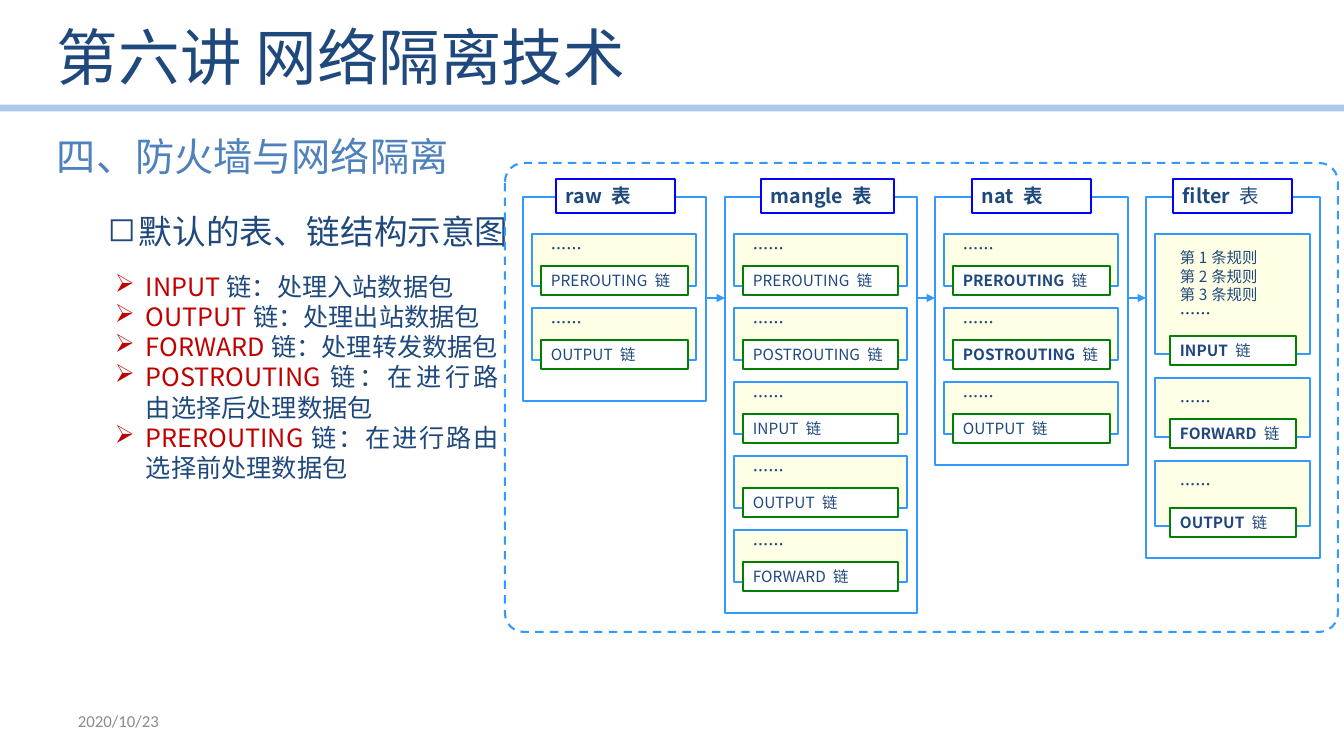
"""Build the slide on the default firewall tables and chains."""
from dataclasses import dataclass
from itertools import pairwise

from lxml.etree import SubElement
from pptx import Presentation
from pptx.dml.color import RGBColor
from pptx.enum.dml import MSO_LINE
from pptx.enum.lang import MSO_LANGUAGE_ID as Language
from pptx.enum.shapes import MSO_CONNECTOR as Connector, MSO_SHAPE as Preset
from pptx.enum.text import MSO_ANCHOR as Anchor, PP_ALIGN as Align
from pptx.oxml.ns import qn
from pptx.util import Emu, Pt

SCALE = 12192000 / 1344


@dataclass(frozen=True)
class Theme:
    font: str = "Noto Sans CJK SC"
    date_font: str = "Calibri"
    navy: str = "1F497D"
    blue: str = "4F81BD"
    red: str = "C00000"
    grey: str = "8C8C8C"
    rule: str = "8EB4E3"
    edge: str = "3399FF"
    tab: str = "0000FF"
    chain: str = "008000"
    slot: str = "FFFFCC"
    white: str = "FFFFFF"
    title_size: int = 44
    section_size: int = 28
    topic_size: int = 24
    list_size: int = 18
    tab_size: int = 14
    chain_size: int = 11
    date_size: int = 12
    pitch: float = 1.2


@dataclass(frozen=True)
class Area:
    x: int
    y: int
    w: int
    h: int

    def emu(self) -> list[Emu]:
        return [px(value) for value in (self.x, self.y, self.w, self.h)]


@dataclass(frozen=True)
class Span:
    text: str
    bold: bool = False
    color: str = Theme.navy
    breaks: bool = False


@dataclass(frozen=True)
class Chain:
    name: str
    bold: bool
    top: int
    height: int
    width: int
    rules: int = 0


@dataclass(frozen=True)
class Table:
    name: str
    area: Area
    tab_x: int
    tab_w: int
    chains: tuple[Chain, ...]
    bold_suffix: bool = True
    chain_indent: int = 18
    dots_drop: int = 0
    overlap: int = 20


THEME = Theme()
TOP = 197


def stack(width: int, *names: str, bold: tuple[str, ...] = ()) -> tuple[Chain, ...]:
    return tuple(Chain(name, name in bold, 234 + 74 * row, 52, width)
                 for row, name in enumerate(names))


TABLES = (
    Table("raw", Area(523, TOP, 183, 204), 556, 119, stack(147, "PREROUTING", "OUTPUT")),
    Table("mangle", Area(725, TOP, 192, 416), 761, 133,
          stack(155, "PREROUTING", "POSTROUTING", "INPUT", "OUTPUT", "FORWARD")),
    Table("nat", Area(935, TOP, 193, 268), 972, 119,
          stack(157, "PREROUTING", "POSTROUTING", "OUTPUT",
                bold=("PREROUTING", "POSTROUTING"))),
    Table("filter", Area(1146, TOP, 174, 361), 1173, 119,
          (Chain("INPUT", True, 234, 120, 126, 3),
           Chain("FORWARD", True, 378, 59, 126),
           Chain("OUTPUT", True, 461, 65, 126)), False, 24, 9, 18),
)
DUTIES = (
    ("INPUT", "处理入站数据包"),
    ("OUTPUT", "处理出站数据包"),
    ("FORWARD", "处理转发数据包"),
    ("POSTROUTING", "在进行路由选择后处理数据包"),
    ("PREROUTING", "在进行路由选择前处理数据包"),
)


def px(value: int) -> Emu:
    return Emu(round(value * SCALE))


def set_alpha(element, percent: int) -> None:
    for color in element.iter(qn("a:srgbClr")):
        SubElement(color, qn("a:alpha"), val=str(percent * 1000))


def set_bullet(para, symbol: str, margin: int) -> None:
    properties = para._p.get_or_add_pPr()
    properties.set("marL", str(px(margin)))
    properties.set("indent", str(px(-31)))
    SubElement(properties, qn("a:buChar"), char=symbol)
    para.alignment = Align.JUSTIFY


def write(para, spans: tuple[Span, ...], size: int, name: str = THEME.font) -> None:
    for span in spans:
        run = para.add_run()
        run.text = span.text
        run.font.size = Pt(size)
        run.font.bold = span.bold
        run.font.color.rgb = RGBColor.from_string(span.color)
        run.font.name = name
        run.font.language_id = Language.SIMPLIFIED_CHINESE
        SubElement(run.font._element, qn("a:ea"), typeface=name)
        if span.breaks:
            para.add_line_break()


def add_text(page, area: Area, spans: tuple[Span, ...], size: int,
             anchor: Anchor = Anchor.MIDDLE, name: str = THEME.font):
    frame = page.shapes.add_textbox(*area.emu()).text_frame
    frame.word_wrap = True
    frame.vertical_anchor = anchor
    write(frame.paragraphs[0], spans, size, name)
    return frame


def add_box(page, area: Area, fill: str | None, edge: str,
            preset: Preset = Preset.RECTANGLE, alpha: int = 100):
    box = page.shapes.add_shape(preset, *area.emu())
    box.shadow.inherit = False
    if fill:
        box.fill.solid()
        box.fill.fore_color.rgb = RGBColor.from_string(fill)
    else:
        box.fill.background()
    if alpha < 100:
        set_alpha(box.element.spPr, alpha)
    box.line.color.rgb = RGBColor.from_string(edge)
    box.line.width = Pt(1.5)
    return box


def add_label(page, area: Area, edge: str, spans: tuple[Span, ...], size: int) -> None:
    frame = add_box(page, area, THEME.white, edge).text_frame
    frame.word_wrap = True
    frame.vertical_anchor = Anchor.MIDDLE
    frame.margin_top = frame.margin_bottom = frame.margin_right = 0
    frame.paragraphs[0].alignment = Align.LEFT
    write(frame.paragraphs[0], spans, size)


def add_line(page, start: int, end: int, y: int, color: str, width: float):
    line = page.shapes.add_connector(Connector.STRAIGHT, px(start), px(y), px(end), px(y))
    line.line.color.rgb = RGBColor.from_string(color)
    line.line.width = Pt(width)
    SubElement(line.element.spPr, qn("a:effectLst"))
    return line


def add_chain(page, table: Table, chain: Chain) -> None:
    left = table.area.x + table.chain_indent
    slot = Area(table.area.x + 9, chain.top, table.area.w - 19, chain.height)
    add_box(page, slot, THEME.slot, THEME.edge, alpha=50)
    rules = tuple(Span(f"第{number}条规则", breaks=True) for number in range(1, chain.rules + 1))
    dots = Area(left, chain.top + table.dots_drop, 122 if rules else 104, 85 if rules else 29)
    frame = add_text(page, dots, (*rules, Span("……", True)), THEME.chain_size)
    frame.margin_top = frame.margin_bottom = 0
    frame.paragraphs[0].line_spacing = Pt(THEME.chain_size * THEME.pitch)
    label = Area(left, chain.top + chain.height - table.overlap, chain.width, 29)
    add_label(page, label, THEME.chain, (Span(f"{chain.name} ", chain.bold), Span("链")),
              THEME.chain_size)


def add_table_diagram(page) -> None:
    frame = add_box(page, Area(505, 163, 833, 469), None, THEME.edge, Preset.ROUNDED_RECTANGLE)
    frame.adjustments[0] = 0.04
    frame.line.dash_style = MSO_LINE.DASH
    for table in TABLES:
        add_box(page, table.area, THEME.white, THEME.edge)
        add_label(page, Area(table.tab_x, 179, table.tab_w, 34), THEME.tab,
                  (Span(f"{table.name} ", True), Span("表", table.bold_suffix)), THEME.tab_size)
        for chain in table.chains:
            add_chain(page, table, chain)
    for before, after in pairwise(TABLES):
        arrow = add_line(page, before.area.x + before.area.w, after.area.x, 298, THEME.edge, 1.5)
        SubElement(arrow.line._get_or_add_ln(), qn("a:tailEnd"), type="triangle")


def add_duties(page) -> None:
    frame = page.shapes.add_textbox(*Area(105, 266, 404, 254).emu()).text_frame
    frame.word_wrap = True
    for index, (name, duty) in enumerate(DUTIES):
        para = frame.add_paragraph() if index else frame.paragraphs[0]
        set_bullet(para, "➢", 31)
        para.line_spacing = Pt(THEME.list_size * THEME.pitch)
        write(para, (Span(name, color=THEME.red), Span(f"链：{duty}")), THEME.list_size)


def main() -> None:
    deck = Presentation()
    deck.slide_width, deck.slide_height = px(1344), px(756)
    page = deck.slides.add_slide(deck.slide_layouts[6])
    rule = add_line(page, 0, 1344, 108, THEME.rule, 4.75)
    set_alpha(rule.element.spPr, 73)
    add_text(page, Area(47, 7, 1111, 98), (Span("第六讲 网络隔离技术"),), THEME.title_size)
    topic = add_text(page, Area(47, 204, 1238, 444), (Span("默认的表、链结构示意图"),),
                     THEME.topic_size, Anchor.TOP).paragraphs[0]
    set_bullet(topic, "◻", 82)
    topic.line_spacing = 1.06
    add_text(page, Area(47, 127, 416, 57), (Span("四、防火墙与网络隔离", color=THEME.blue),),
             THEME.section_size)
    add_table_diagram(page)
    add_duties(page)
    add_text(page, Area(68, 701, 313, 40), (Span("2020/10/23", color=THEME.grey),),
             THEME.date_size, name=THEME.date_font)
    deck.save("out.pptx")


if __name__ == "__main__":
    main()
